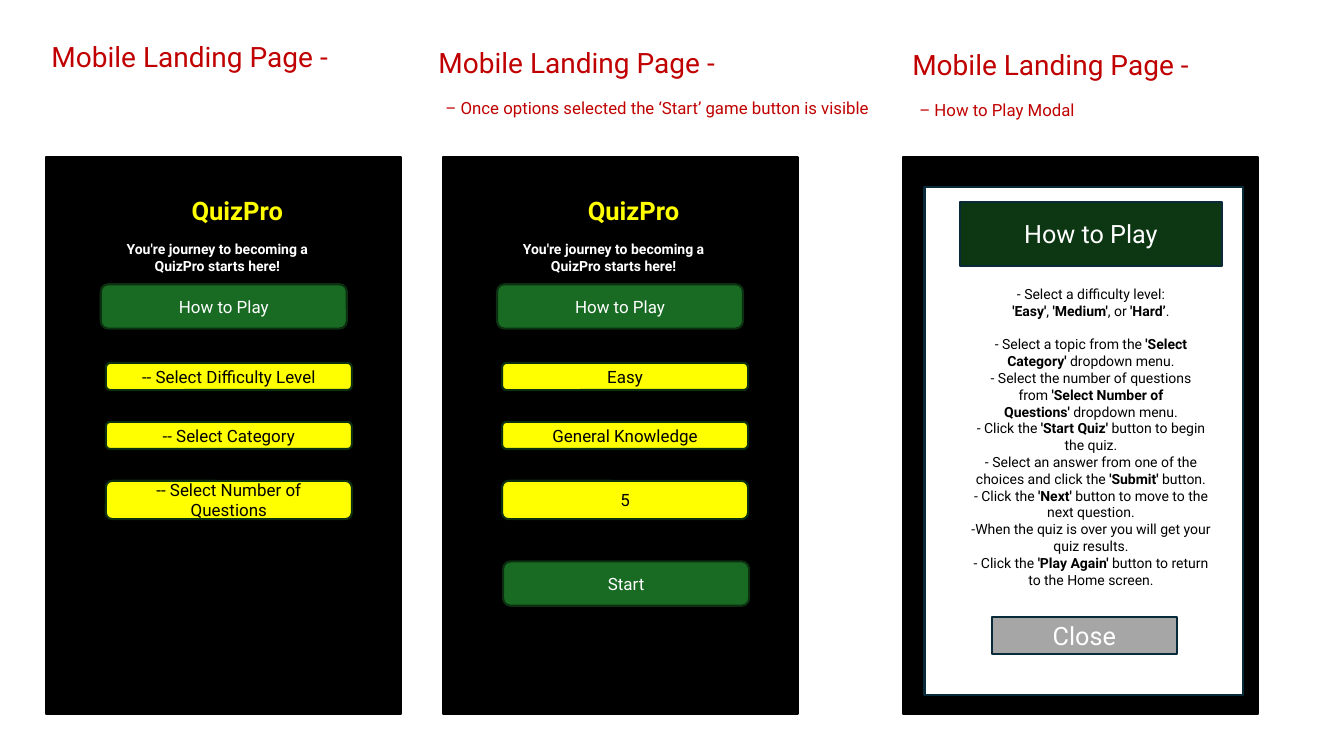
from dataclasses import dataclass
from typing import NamedTuple

from lxml import etree
from pptx import Presentation
from pptx.dml.color import RGBColor
from pptx.enum.shapes import MSO_SHAPE
from pptx.enum.text import MSO_ANCHOR, MSO_AUTO_SIZE, PP_ALIGN
from pptx.oxml.ns import qn
from pptx.util import Inches, Pt

RECTANGLE, ROUNDED = MSO_SHAPE.RECTANGLE, MSO_SHAPE.ROUNDED_RECTANGLE
TOP, MIDDLE = MSO_ANCHOR.TOP, MSO_ANCHOR.MIDDLE
LEFT, CENTER = PP_ALIGN.LEFT, PP_ALIGN.CENTER
NO_AUTOFIT = MSO_AUTO_SIZE.NONE
CELL = Inches(0.1)
NO_BREAK_SPACE = chr(160)


@dataclass(frozen=True)
class Theme:
    """Font, colours and type sizes of the slide."""
    font: str = "Roboto"
    black: str = "000000"
    white: str = "FFFFFF"
    red: str = "C00000"
    yellow: str = "FFFF00"
    green: str = "196B24"
    green_edge: str = "0B2F10"
    banner: str = "0D3612"
    modal_edge: str = "092A39"
    grey: str = "A6A6A6"
    edge: float = 1.5
    heading: float = 20
    brand: float = 18.2
    banner_size: float = 18
    button: float = 12.1
    note: float = 12
    small: float = 10


class Box(NamedTuple):
    """A rectangle in grid cells."""
    left: float
    top: float
    width: float
    height: float

    def within(self, left, top, width, height):
        """Return a box whose corner is counted from this box's corner."""
        return Box(self.left + left, self.top + top, width, height)

    def lengths(self):
        """Return the rectangle as slide lengths."""
        return [round(value * CELL) for value in self]


THEME = Theme()
PHONE_TOP, PHONE_WIDTH, PHONE_HEIGHT = 15.6, 35.2, 55.2
SELECT_TOP, SELECT_STEP = 20.4, 5.85
SELECT_HEIGHTS = (2.7, 2.7, 3.8)
HEADING = "Mobile Landing Page -"
INSTRUCTIONS = (
    "- Select a difficulty level:\n*'Easy'*, *'Medium'*, or *'Hard’*.",
    "- Select a topic from the *'Select Category'* dropdown menu.",
    "- Select the number of questions from *'Select Number of Questions'* dropdown menu.",
    "- Click the *'Start Quiz'* button to begin the quiz.",
    "- Select an answer from one of the choices and click the *'Submit'* button.",
    "- Click the *'Next'* button to move to the next question.",
    "-When the quiz is over you will get your quiz results.",
    "- Click the *'Play Again'* button to return to the Home screen.",
)


def style(font, size, color, bold=False):
    """Format a font with the theme's typeface."""
    font.name, font.size, font.bold = THEME.font, Pt(size), bold
    font.color.rgb = RGBColor.from_string(color)


def place(shape, box):
    """Move a shape to a box."""
    shape.left, shape.top, shape.width, shape.height = box.lengths()


def prepare(frame, anchor=TOP):
    """Make a text frame wrap at a fixed size."""
    frame.word_wrap, frame.auto_size, frame.vertical_anchor = True, NO_AUTOFIT, anchor


def write(frame, text, size, color, align=CENTER, bold=False):
    """Set the text of a frame and format it."""
    frame.text = text
    para = frame.paragraphs[0]
    para.alignment = align
    style(para.runs[0].font, size, color, bold)
    return para


def panel(page, box, fill, edge=None, kind=RECTANGLE):
    """Add a filled shape with an optional edge."""
    shape = page.shapes.add_shape(kind, *box.lengths())
    shape.shadow.inherit = False
    shape.fill.solid()
    shape.fill.fore_color.rgb = RGBColor.from_string(fill)
    if edge:
        shape.line.color.rgb = RGBColor.from_string(edge)
        shape.line.width = Pt(THEME.edge)
    else:
        shape.line.fill.background()
    return shape


def label(page, box, text, size, color, fill, edge=None, kind=RECTANGLE,
          anchor=MIDDLE, align=CENTER, bold=False):
    """Add a filled shape with text."""
    shape = panel(page, box, fill, edge, kind)
    prepare(shape.text_frame, anchor)
    write(shape.text_frame, text, size, color, align, bold)
    return shape


def button(page, box, text, fill, color):
    """Add a rounded button."""
    label(page, box, text, THEME.button, color, fill, THEME.green_edge, ROUNDED)


def heading(shape, box, note=None):
    """Fill a shape with the page heading and an optional note."""
    place(shape, box)
    frame = shape.text_frame
    prepare(frame)
    write(frame, HEADING, THEME.heading, THEME.red, LEFT).space_after = Pt(6)
    if note:
        para = frame.add_paragraph()
        para.text = note
        para._p.get_or_add_pPr().set("marL", str(Inches(0.07)))
        para.space_before = Pt(7.5)
        style(para.runs[0].font, THEME.note, THEME.red)


def phone(page, left):
    """Add a phone screen and return its box."""
    box = Box(left, PHONE_TOP, PHONE_WIDTH, PHONE_HEIGHT)
    panel(page, box, THEME.black, THEME.black)
    return box


def landing(page, box, choices, start=None):
    """Place the landing page's elements on a phone screen."""
    brand = label(page, box.within(5.8, 3.3, 22.1, 4.1), "QuizPro", THEME.brand,
                  THEME.yellow, THEME.black, anchor=TOP, align=LEFT, bold=True)
    brand.text_frame.margin_left = Inches(0.86)
    label(page, box.within(5.9, 7.8, 22.1, 4.4),
          "You're journey to becoming a QuizPro starts here!",
          THEME.small, THEME.white, THEME.black, anchor=TOP, bold=True)
    button(page, box.within(5.4, 12.6, 24.4, 4.4), "How to Play", THEME.green, THEME.white)
    for index, (choice, height) in enumerate(zip(choices, SELECT_HEIGHTS)):
        row = box.within(5.9, SELECT_TOP + index * SELECT_STEP, 24.4, height)
        button(page, row, choice, THEME.yellow, THEME.black)
    if start:
        button(page, box.within(6, 40.1, 24.4, 4.4), start, THEME.green, THEME.white)


def instruction(para, text):
    """Write one centred instruction, with starred words in bold."""
    properties = para._p.get_or_add_pPr()
    properties.set("marL", "0")
    properties.set("indent", "0")
    etree.SubElement(properties, qn("a:buNone"))
    para.alignment, para.space_before = CENTER, Pt(0)
    text = text.replace(" *", NO_BREAK_SPACE + "*").replace("* ", "*" + NO_BREAK_SPACE)
    for index, words in enumerate(text.split("*")):
        span = para.add_run()
        span.text = words.rstrip("\n")
        style(span.font, THEME.small, THEME.black, index % 2 == 1)
        if words.endswith("\n"):
            para.add_line_break()


def modal(page, box, body):
    """Place the instructions modal on a phone screen."""
    panel(page, box.within(2.1, 3, 31.6, 50.4), THEME.white, THEME.modal_edge)
    label(page, box.within(5.6, 4.4, 26, 6.4), "How to Play", THEME.banner_size,
          THEME.white, THEME.banner, THEME.modal_edge)
    place(body, box.within(5.6, 12.2, 26, 33))
    page.shapes._spTree.append(body._element)
    frame = body.text_frame
    prepare(frame)
    for index, text in enumerate(INSTRUCTIONS):
        para = frame.add_paragraph() if index else frame.paragraphs[0]
        instruction(para, text)
    frame.paragraphs[1].space_before = Pt(12)
    label(page, box.within(8.8, 45.6, 18.3, 3.7), "Close", THEME.banner_size,
          THEME.white, THEME.grey, THEME.modal_edge)


def main():
    """Build the deck."""
    deck = Presentation()
    deck.slide_width, deck.slide_height = Inches(13.33), Inches(7.5)
    page = deck.slides.add_slide(deck.slide_layouts[1])
    heading(page.shapes.title, Box(4.1, 3.4, 38, 4.4))
    landing(page, phone(page, 4.6), ("-- Select Difficulty Level", "-- Select Category",
                                     "-- Select Number of Questions"))
    landing(page, phone(page, 43.9), ("Easy", "General Knowledge", "5"), "Start")
    modal(page, phone(page, 89.6), page.placeholders[1])
    notes = ((Box(42.5, 4, 45.8, 8.6),
              "– Once options selected the ‘Start’ game button is visible"),
             (Box(89.5, 4.2, 43, 8.6), "– How to Play Modal"))
    for box, note in notes:
        heading(page.shapes.add_textbox(*box.lengths()), box, note)
    deck.save("out.pptx")


if __name__ == "__main__":
    main()
